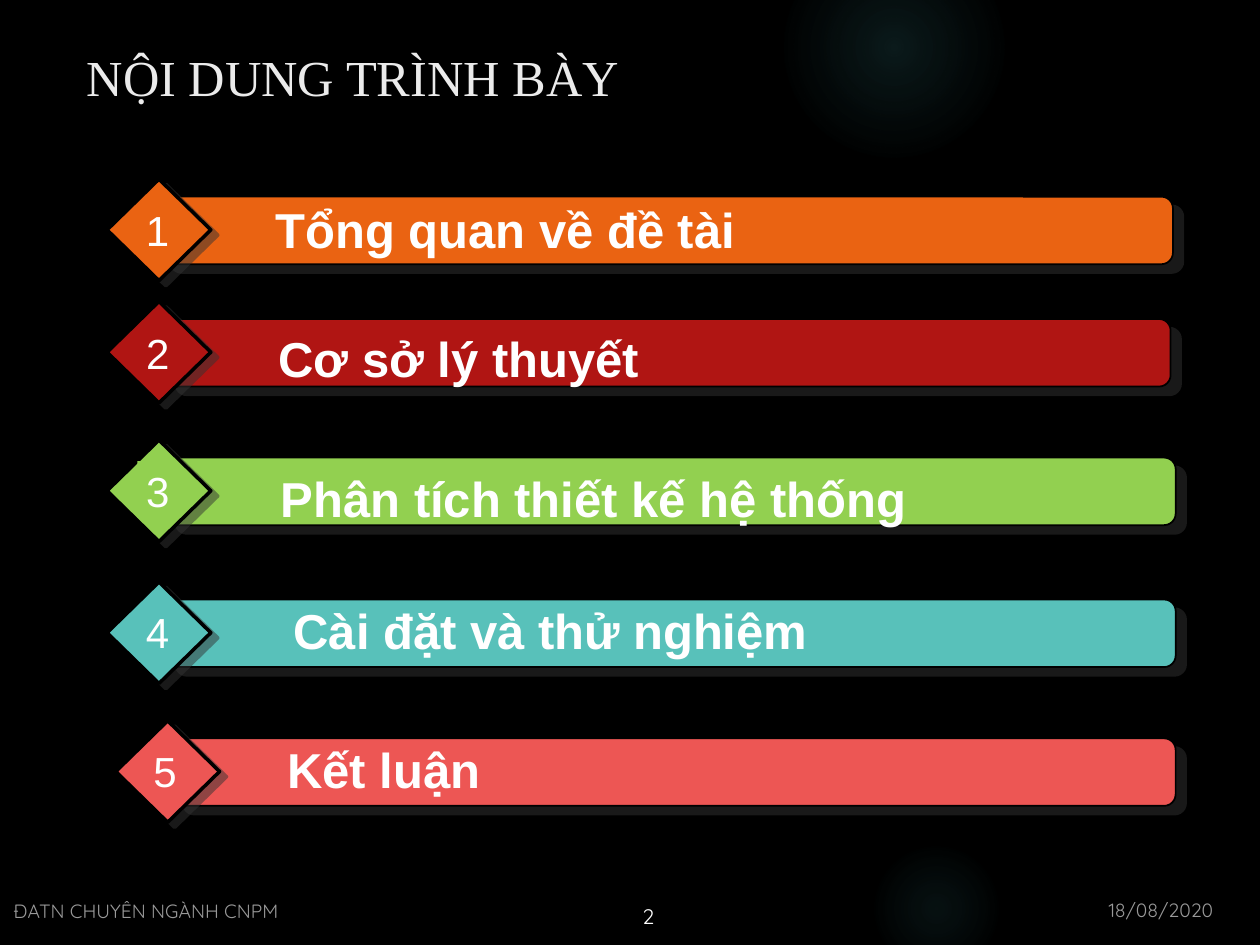
from dataclasses import dataclass

import lxml.etree
import pptx
import pptx.dml.color
import pptx.enum.shapes
import pptx.enum.text
import pptx.oxml.ns
import pptx.util

Pt = pptx.util.Pt
qn = pptx.oxml.ns.qn
SHAPE = pptx.enum.shapes.MSO_SHAPE
ALIGN = pptx.enum.text.PP_ALIGN
ANCHOR = pptx.enum.text.MSO_ANCHOR


@dataclass(frozen=True)
class Theme:
    background: str = "000000"
    title: str = "EBEBEB"
    text: str = "FFFFFF"
    shadow: str = "333333"
    glow: str = "50B9C1"
    title_font: str = "Times New Roman"
    body_font: str = "Arial"
    footer_font: str = "Quicksand"
    title_size: float = 28.8
    label_size: float = 28
    number_size: float = 24
    footer_size: float = 11
    page_size: float = 12


@dataclass(frozen=True)
class Item:
    label: str
    color: str
    top: float
    bar_left: float
    bar_right: float
    label_box: tuple
    number_box: tuple
    indent: float = 40.3
    diamond_left: float = 61.2
    number_filled: bool = False


THEME = Theme()
ITEMS = [
    Item("Tổng quan về đề tài", "EA6312", 102.4, 91.4, 670.3,
         (54, 111.6, 666, 39.6), (77.8, 114.5, 24.5, 34.6), indent=98.6),
    Item("Cơ sở lý thuyết", "B01513", 172.3, 94.3, 668.9,
         (113.8, 185, 563.8, 39.6), (78.5, 184.3, 23, 32.4)),
    Item("Phân tích thiết kế hệ thống", "92D050", 251.5, 94.3, 671.8,
         (115.2, 265, 555.1, 39.6), (78.5, 263.5, 23, 32.4), number_filled=True),
    Item("Cài đặt và thử nghiệm", "58C1BA", 332.6, 94.3, 671.8,
         (122.4, 340.6, 555.1, 39.6), (77.8, 344.2, 24.5, 34.6)),
    Item("Kết luận", "ED5654", 411.9, 98.6, 671.8,
         (118.8, 419.8, 550.8, 39.6), (82.1, 423.4, 24.5, 34.6), diamond_left=66.2),
]
GLOWS = [
    ((447.8, -36, 126, 126), [(0, 14), (36, 7), (73, 0)]),
    ((496.1, 480.2, 77.8, 77.8), [(0, 9), (36, 5), (66, 0)]),
]


def rgb(color):
    return pptx.dml.color.RGBColor.from_string(color)


def add_color(parent, color, alpha):
    node = lxml.etree.SubElement(parent, qn("a:srgbClr"), val=color)
    lxml.etree.SubElement(node, qn("a:alpha"), val=str(alpha * 1000))


def add_shape(page, kind, place, color):
    shape = page.shapes.add_shape(kind, *map(Pt, place))
    shape.shadow.inherit = False
    shape.fill.solid()
    shape.fill.fore_color.rgb = rgb(color)
    return shape


def add_glow(page, place, stops):
    glow = add_shape(page, SHAPE.OVAL, place, THEME.glow)
    glow.line.fill.background()
    solid = glow._element.spPr.find(qn("a:solidFill"))
    gradient = lxml.etree.Element(qn("a:gradFill"), rotWithShape="1")
    stop_list = lxml.etree.SubElement(gradient, qn("a:gsLst"))
    for position, alpha in stops:
        stop = lxml.etree.SubElement(stop_list, qn("a:gs"), pos=str(position * 1000))
        add_color(stop, THEME.glow, alpha)
    circle = lxml.etree.SubElement(gradient, qn("a:path"), path="circle")
    lxml.etree.SubElement(circle, qn("a:fillToRect"),
                          dict.fromkeys("ltrb", "50000"))
    solid.getparent().replace(solid, gradient)


def add_shadowed(page, kind, place, color, line_width, distance, angle):
    shape = add_shape(page, kind, place, color)
    shape.line.color.rgb = rgb(THEME.background)
    shape.line.width = Pt(line_width)
    effects = shape._element.spPr.find(qn("a:effectLst"))
    shadow = lxml.etree.SubElement(
        effects, qn("a:outerShdw"), blurRad="0", dist=str(Pt(distance)),
        dir=str(angle * 60000), algn="ctr", rotWithShape="0")
    add_color(shadow, THEME.shadow, 50)
    return shape


def add_text(page, place, text, font, size, color=THEME.text, bold=False,
             align=ALIGN.LEFT, anchor=ANCHOR.TOP, insets=(7.2, 3.6),
             wrap=True, indent=0, alpha=None, fill=None):
    box = page.shapes.add_textbox(*map(Pt, place))
    if fill:
        box.fill.solid()
        box.fill.fore_color.rgb = rgb(fill)
    frame = box.text_frame
    frame.word_wrap = wrap
    frame.vertical_anchor = anchor
    frame.margin_left = frame.margin_right = Pt(insets[0])
    frame.margin_top = frame.margin_bottom = Pt(insets[1])
    para = frame.paragraphs[0]
    para.alignment = align
    if indent:
        properties = para._p.get_or_add_pPr()
        properties.set("marL", str(Pt(indent)))
        properties.set("indent", "0")
    span = para.add_run()
    span.text = text
    span.font.name = font
    span.font.size = Pt(size)
    span.font.bold = bold
    span.font.color.rgb = rgb(color)
    if alpha is not None:
        node = span._r.rPr.find(".//" + qn("a:srgbClr"))
        lxml.etree.SubElement(node, qn("a:alpha"), val=str(alpha * 1000))


def add_item(page, number, item):
    bar = add_shadowed(page, SHAPE.ROUNDED_RECTANGLE,
                       (item.bar_left, item.top + 10, item.bar_right - item.bar_left, 38.6),
                       item.color, 1, 7.8, 40)
    bar.adjustments[0] = 0.17
    add_shadowed(page, SHAPE.DIAMOND, (item.diamond_left, item.top, 59.3, 58),
                 item.color, 2, 5, 37)
    add_text(page, item.label_box, item.label, THEME.body_font, THEME.label_size,
             bold=True, align=ALIGN.JUSTIFY, insets=(5, 2.6), indent=item.indent)
    add_text(page, item.number_box, str(number), THEME.body_font, THEME.number_size,
             align=ALIGN.CENTER, insets=(5, 2.6), wrap=False,
             fill=item.color if item.number_filled else None)


def main():
    deck = pptx.Presentation()
    deck.slide_width, deck.slide_height = Pt(720), Pt(540)
    page = deck.slides.add_slide(deck.slide_layouts[6])
    page.background.fill.solid()
    page.background.fill.fore_color.rgb = rgb(THEME.background)

    for place, stops in GLOWS:
        add_glow(page, place, stops)
    add_text(page, (42.5, 21.6, 582.5, 44.6), "NỘI DUNG TRÌNH BÀY", THEME.title_font,
             THEME.title_size, THEME.title, anchor=ANCHOR.MIDDLE)
    for number, item in enumerate(ITEMS, 1):
        add_item(page, number, item)

    add_text(page, (626.4, 509.8, 89.3, 20.9), "18/08/2020", THEME.footer_font,
             THEME.footer_size, alpha=60)
    add_text(page, (0.7, 512.6, 303.8, 18), "ĐATN CHUYÊN NGÀNH CNPM", THEME.footer_font,
             THEME.footer_size, anchor=ANCHOR.BOTTOM, alpha=60)
    add_text(page, (360, 512.6, 40.3, 20.9), "2", THEME.footer_font, THEME.page_size)
    deck.save("out.pptx")


if __name__ == "__main__":
    main()
